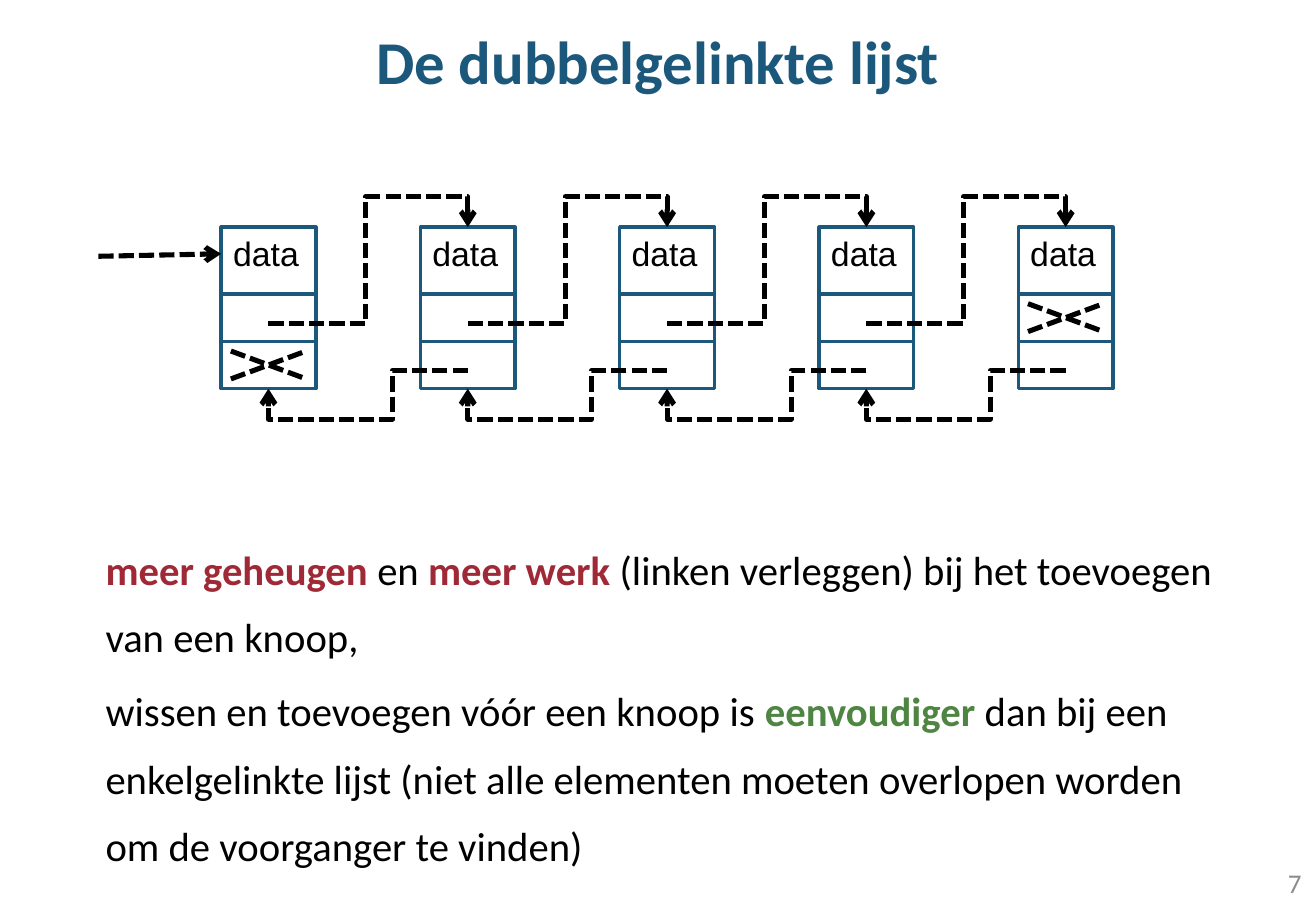
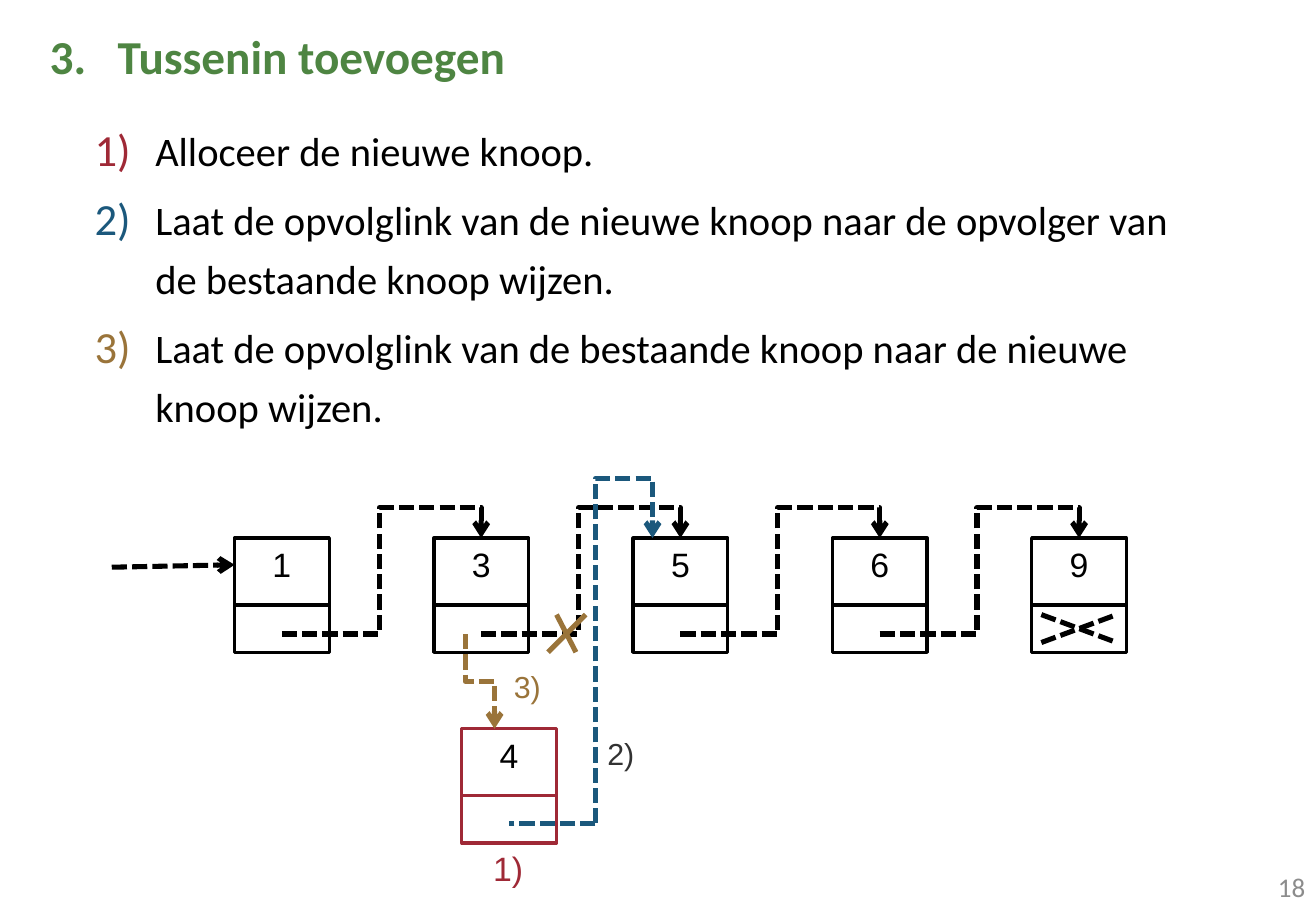
from lxml import etree
from pptx import Presentation
from pptx import util as u
from pptx.dml import color
from pptx.enum import dml, shapes, text
from pptx.oxml import ns

BLUE, RED, GREEN, GOLD = "1B587C", "9F2936", "4E8542", "9A743A"
BLACK, GRAY, DARK = "000000", "8C8C8C", "323232"
CELL_WIDTH, DATA_HEIGHT, LINK_HEIGHT, PITCH = 0.78, 0.55, 0.39, 1.64
CENTER = CELL_WIDTH / 2
TOP_SITE, BOTTOM_SITE = 0, 2


def rgb(value):
    return color.RGBColor.from_string(value)


def child(parent, tag, **attributes):
    return etree.SubElement(parent, ns.qn(tag), {k: str(v) for k, v in attributes.items()})


def apply(target, values):
    for name, value in values.items():
        setattr(target, name, value)


class Slides:
    font = "Calibri"
    label_font = "Arial"

    def __init__(self):
        self.deck = Presentation()
        self.deck.slide_width = u.Inches(10.83)
        self.deck.slide_height = u.Inches(7.5)
        self.page = None

    def new_page(self, number, left, top):
        self.page = self.deck.slides.add_slide(self.deck.slide_layouts[6])
        frame = self.frame(left, top, 2.53, 0.4, text.MSO_ANCHOR.MIDDLE)
        self.para(frame, [(number, GRAY, False)], 16, alignment=text.PP_ALIGN.RIGHT)

    def frame(self, left, top, width, height, anchor=text.MSO_ANCHOR.TOP):
        box = self.page.shapes.add_textbox(*map(u.Inches, (left, top, width, height)))
        apply(box.text_frame, {"word_wrap": True, "vertical_anchor": anchor})
        return box.text_frame

    def para(self, frame, spans, size, font=None, **layout):
        first = frame.paragraphs[0]
        para = frame.add_paragraph() if first.runs else first
        apply(para, layout)
        for words, ink, bold in spans:
            span = para.add_run()
            span.text = words
            apply(span.font, {"size": u.Pt(size), "name": font or self.font, "bold": bold})
            span.font.color.rgb = rgb(ink)
        return para

    def indent(self, para, margin, first=0):
        props = para._p.get_or_add_pPr()
        props.set("marL", str(u.Inches(margin)))
        props.set("indent", str(u.Inches(first)))
        return props

    def number(self, para, margin, first, ink, style, percent=100, **start):
        props = self.indent(para, margin, first)
        child(child(props, "a:buClr"), "a:srgbClr", val=ink)
        child(props, "a:buSzPct", val=percent * 1000)
        child(props, "a:buFont", typeface=self.font)
        child(props, "a:buAutoNum", type=style, **start)

    def title(self, words):
        frame = self.frame(0, 0, 10.83, 1, text.MSO_ANCHOR.MIDDLE)
        self.para(frame, [(words, BLUE, True)], 36, alignment=text.PP_ALIGN.CENTER)

    def label(self, words, left, top, width, ink=BLACK, size=20, align=text.PP_ALIGN.LEFT):
        frame = self.frame(left, top, width, 0.44 if size == 20 else 0.4)
        self.para(frame, [(words, ink, False)], size, self.label_font, alignment=align)

    def cell(self, left, top, height, ink):
        box = self.page.shapes.add_shape(
            shapes.MSO_SHAPE.RECTANGLE, *map(u.Inches, (left, top, CELL_WIDTH, height)))
        box.shadow.inherit = False
        box.fill.background()
        box.line.color.rgb = rgb(ink)
        box.line.width = u.Pt(2)
        return box

    def node(self, words, left, top, ink, links=1, align=text.PP_ALIGN.CENTER):
        cells = [self.cell(left, top, DATA_HEIGHT, ink)]
        self.label(words, left, top, CELL_WIDTH, align=align)
        for index in range(links):
            cells.append(self.cell(left, top + DATA_HEIGHT + index * LINK_HEIGHT, LINK_HEIGHT, ink))
        return cells

    def line(self, start, end, ink=BLACK, arrow=False, dashed=True,
             kind=shapes.MSO_CONNECTOR.STRAIGHT):
        link = self.page.shapes.add_connector(kind, *map(u.Inches, (*start, *end)))
        link.line.color.rgb = rgb(ink)
        link.line.width = u.Pt(3)
        if dashed:
            link.line.dash_style = dml.MSO_LINE.SQUARE_DOT
        props = link._element.spPr
        if arrow:
            child(props.find(ns.qn("a:ln")), "a:tailEnd", type="arrow")
        child(props, "a:effectLst")
        return link

    def bend(self, link, preset, *ratios):
        geometry = link._element.spPr.find(ns.qn("a:prstGeom"))
        geometry.set("prst", preset)
        for old in list(geometry):
            geometry.remove(old)
        guides = child(geometry, "a:avLst")
        for index, ratio in enumerate(ratios, 1):
            child(guides, "a:gd", name=f"adj{index}", fmla=f"val {round(ratio * 100000)}")

    def pointer(self, start, end, via, cell, site):
        link = self.line(start, end, arrow=True, kind=shapes.MSO_CONNECTOR.ELBOW)
        link.end_connect(cell, site)
        self.bend(link, "bentConnector4",
                  *((v - s) / (e - s) for s, e, v in zip(start, end, via)))

    def upright_elbow(self, start, end, via_y, ink):
        (x0, y0), (x1, y1) = start, end
        middle_x, middle_y = (x0 + x1) / 2, (y0 + y1) / 2
        turn = 1 if y1 < y0 else -1
        half_x, half_y = -abs(y1 - y0) / 2, -turn * (x1 - x0) / 2
        link = self.line((middle_x - half_x, middle_y - half_y),
                         (middle_x + half_x, middle_y + half_y),
                         ink, True, kind=shapes.MSO_CONNECTOR.ELBOW)
        xfrm = link._element.spPr.find(ns.qn("a:xfrm"))
        xfrm.set("rot", str((turn * 90) % 360 * 60000))
        self.bend(link, "bentConnector3", (via_y - y0) / (y1 - y0))

    def cross(self, left, top):
        near, far, high, low = left + 0.08, left + 0.7, top + 0.08, top + 0.31
        self.line((near, low), (far, high))
        self.line((near, high), (far, low))

    def linked_list(self, values, left, top, ink, links=1, align=text.PP_ALIGN.CENTER):
        lefts = [left + index * PITCH for index in range(len(values))]
        nodes = [self.node(value, x, top, ink, links, align) for value, x in zip(values, lefts)]
        self.line((left - 1.01, top + 0.24), (left, top + 0.22), arrow=True)
        for index, x in enumerate(lefts[:-1]):
            here, there = x + CENTER, x + PITCH + CENTER
            self.pointer((here, top + 0.79), (there, top), (here + 0.8, top - 0.25),
                         nodes[index + 1][0], TOP_SITE)
            if links == 2:
                self.pointer((there, top + 1.18), (here, top + 1.33),
                             (there - 0.62, top + 1.58), nodes[index][2], BOTTOM_SITE)
        self.cross(lefts[-1], top + DATA_HEIGHT)
        if links == 2:
            self.cross(left, top + DATA_HEIGHT + LINK_HEIGHT)


show = Slides()

show.new_page("7", 8.28, 7.07)
show.title("De dubbelgelinkte lijst")
show.linked_list(["data"] * 5, 1.82, 1.87, BLUE, 2, text.PP_ALIGN.LEFT)
remarks = show.frame(0.38, 4.28, 9.72, 2.9)
for spans, before in (
    ([("meer geheugen ", RED, True), ("en ", BLACK, False), ("meer werk ", RED, True),
      ("(linken verleggen) bij het toevoegen van een knoop,", BLACK, False)], 18),
    ([("wissen en toevoegen vóór een knoop is ", BLACK, False), ("eenvoudiger", GREEN, True),
      (" dan bij een enkelgelinkte lijst (niet alle elementen moeten overlopen worden "
       "om de voorganger te vinden)", BLACK, False)], 4),
):
    remark = show.para(remarks, spans, 24.1, line_spacing=u.Pt(40), space_before=u.Pt(before))
    show.indent(remark, 0.39)

show.new_page("18", 8.31, 7.1)
steps = show.frame(0.18, 0.23, 9.8, 5.62)
heading = show.para(steps, [("Tussenin toevoegen", GREEN, True)], 28,
                    line_spacing=0.9, space_before=u.Pt(30))
show.number(heading, 0.69, -0.56, GREEN, "arabicPeriod", startAt=3)
for words, ink, before in (
    ("Alloceer de nieuwe knoop.", RED, 18),
    ("Laat de opvolglink van de nieuwe knoop naar de opvolger van de bestaande knoop wijzen.",
     BLUE, 6),
    ("Laat de opvolglink van de bestaande knoop naar de nieuwe knoop wijzen.", GOLD, 6),
):
    step = show.para(steps, [(words, BLACK, False)], 24, level=1,
                     line_spacing=u.Pt(35), space_before=u.Pt(before))
    show.number(step, 1, -0.5, ink, "arabicParenR", 110)

show.linked_list("13569", 1.93, 4.43, BLACK)
show.node("4", 3.8, 6, RED)
show.upright_elbow((4.9, 6.78), (5.37, 4.43), 3.94, BLUE)
show.line((4.9, 6.78), (4.19, 6.78), BLUE)
show.upright_elbow((3.83, 5.22), (4.07, 6), 5.61, GOLD)
for words, left, top, ink, size in (
    ("1)", 3.96, 6.93, RED, 20), ("2)", 4.9, 6, DARK, 18), ("3)", 4.13, 5.45, GOLD, 18),
):
    show.label(words, left, top, 0.47, ink, size)
show.line((4.58, 5.06), (4.74, 5.37), GOLD, dashed=False)
show.line((4.82, 5.06), (4.51, 5.37), GOLD, dashed=False)

show.deck.save("out.pptx")
